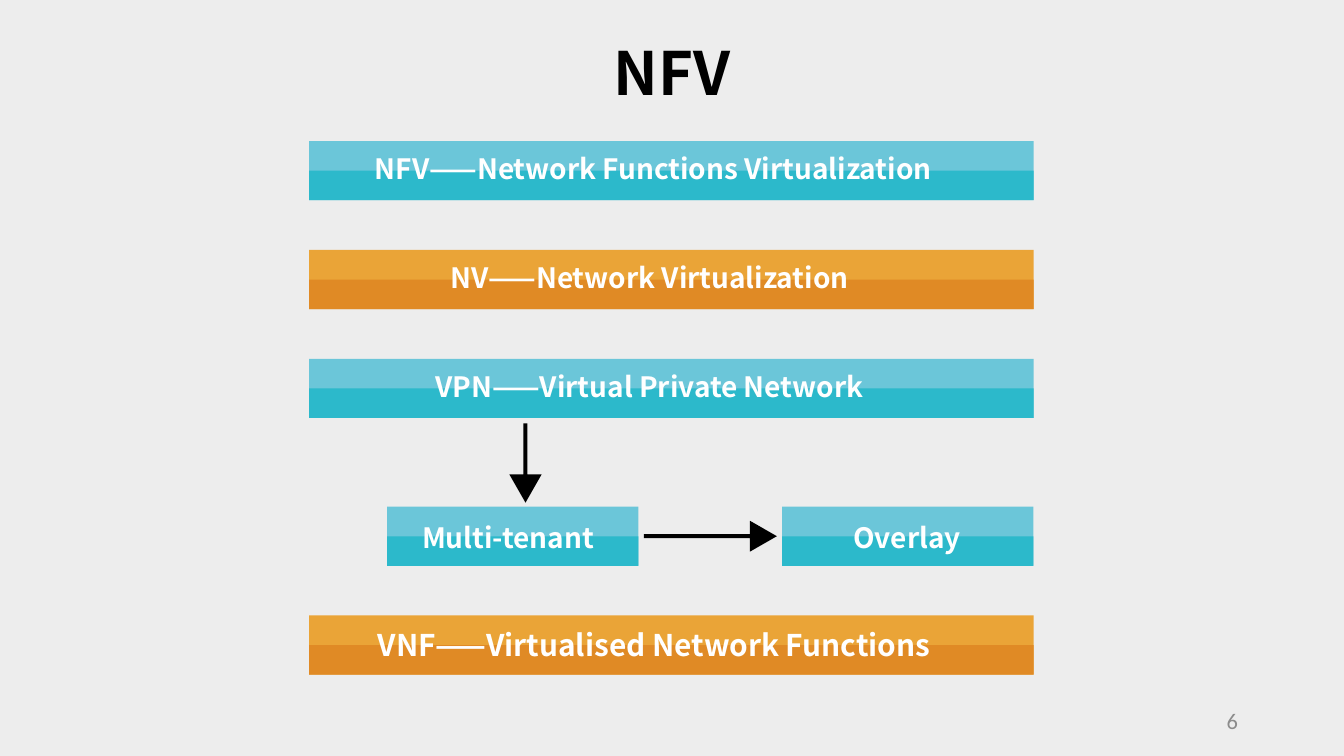
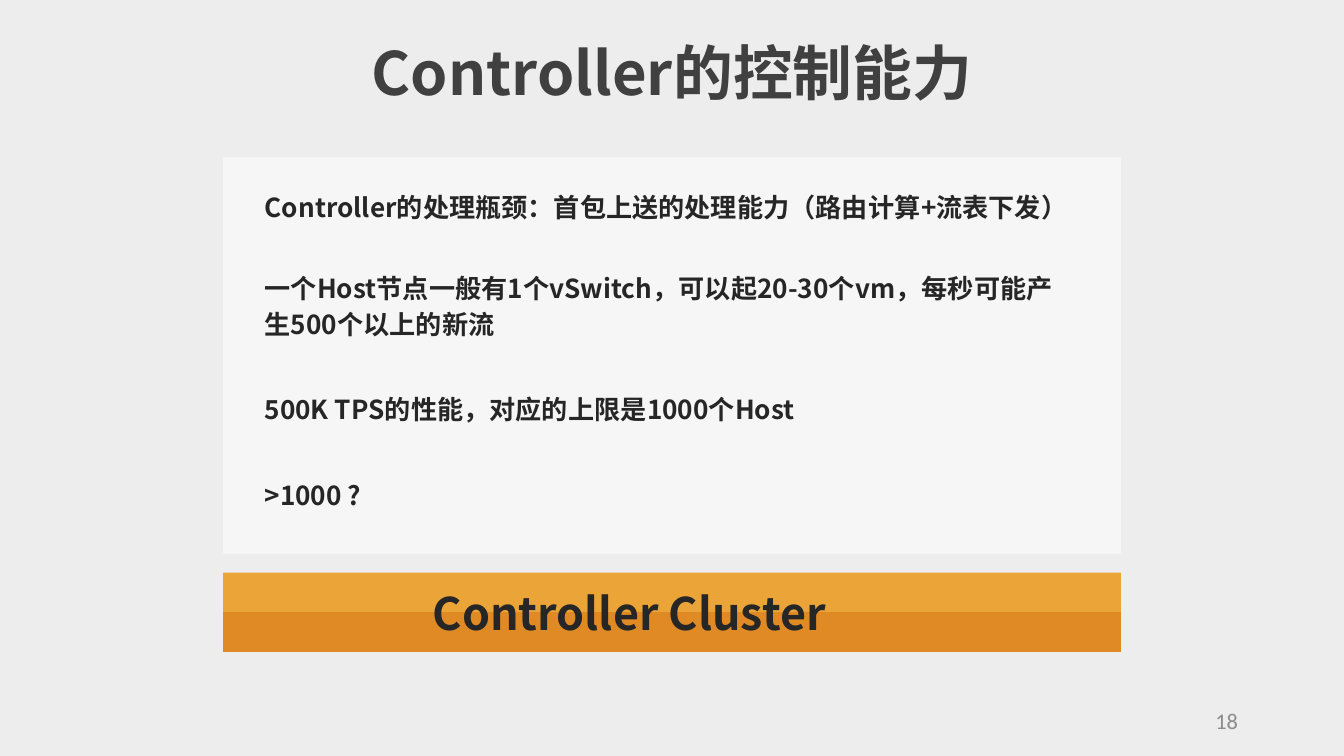
from dataclasses import dataclass
from typing import Any, NamedTuple

from lxml.etree import SubElement
from pptx import Presentation
from pptx.dml.color import RGBColor as RGB
from pptx.enum.shapes import MSO_SHAPE as SHAPE
from pptx.enum.text import MSO_ANCHOR as ANCHOR, PP_ALIGN as ALIGN
from pptx.oxml.ns import qn
from pptx.util import Inches, Pt


# Theme: every colour, font and type size
class Tone(NamedTuple):
    top: str
    bottom: str


@dataclass(frozen=True)
class Theme:
    back: str = "EDEDED"
    black: str = "000000"
    white: str = "FFFFFF"
    title_grey: str = "404040"
    ink: str = "262626"
    muted: str = "8C8C8C"
    blue: Tone = Tone("6BC6D9", "2CB9CB")
    orange: Tone = Tone("EAA437", "E08A25")
    font: str = "Noto Sans CJK SC"
    number_font: str = "Calibri"
    title: int = 32
    cluster: int = 24
    label_large: int = 16
    label: int = 15
    body: int = 14
    number: int = 12
    body_leading: int = 19
    body_before: int = 6


T = Theme()

# Grid: square cells, 100 columns across the slide
WIDTH, HEIGHT = Inches(10), Inches(5.625)
CELL = WIDTH // 100


def cells(n: float) -> int:
    return round(n * CELL)


class Box(NamedTuple):
    col: float
    row: float
    cols: float
    rows: float

    def emu(self) -> list[int]:
        return [cells(n) for n in self]


@dataclass(frozen=True)
class Bar:
    """A two-tone bar; the label starts at its own column and row offset."""
    text: str
    box: Box
    tone: Tone
    label_col: float
    label_cols: float
    label_drop: float = 0.8
    size: int = T.label
    color: str = T.white


@dataclass(frozen=True)
class Arrow:
    """A block arrow running right, or down when vertical."""
    col: float
    row: float
    length: float
    head: float
    half_head: float
    vertical: bool = False
    half_shaft: float = 0.15


class Note(NamedTuple):
    text: str
    row: float
    cols: float
    rows: float


# Drawing functions
def put(obj: Any, values: dict[str, Any]) -> None:
    for name, value in values.items():
        setattr(obj, name, value)


def paint(sp: Any, color: str) -> None:
    sp.fill.solid()
    sp.fill.fore_color.rgb = RGB.from_string(color)
    sp.line.fill.background()
    sp.shadow.inherit = False


def add_rect(shapes: Any, box: Box, color: str) -> Any:
    sp = shapes.add_shape(SHAPE.RECTANGLE, *box.emu())
    paint(sp, color)
    return sp


def add_text(shapes: Any, text: str, box: Box, size: int, color: str,
             font: str = T.font, bold: bool = True,
             frame: dict[str, Any] | None = None,
             para: dict[str, Any] | None = None) -> None:
    tf = shapes.add_textbox(*box.emu()).text_frame
    margins = dict.fromkeys(("margin_left", "margin_top",
                             "margin_right", "margin_bottom"), 0)
    put(tf, {"word_wrap": True, **(margins if frame is None else frame)})
    p = tf.paragraphs[0]
    put(p, para or {})
    r = p.add_run()
    r.text = text
    put(r.font, {"name": font, "size": Pt(size), "bold": bold})
    r.font.color.rgb = RGB.from_string(color)
    # East Asian glyphs take the same face
    SubElement(r.font._element, qn("a:ea"), typeface=font)


def add_bar(s: Any, bar: Bar) -> None:
    shapes = s.shapes.add_group_shape().shapes
    col, row, cols, rows = bar.box
    add_rect(shapes, bar.box, bar.tone.top)
    add_rect(shapes, Box(col, row + rows / 2, cols, rows / 2), bar.tone.bottom)
    label = Box(bar.label_col, row + bar.label_drop,
                bar.label_cols, bar.size / 6)
    add_text(shapes, bar.text, label, bar.size, bar.color)


def add_arrow(s: Any, arrow: Arrow) -> None:
    neck, shaft, wing = (arrow.length - arrow.head, arrow.half_shaft,
                         arrow.half_head)
    outline = [(0, -shaft), (neck, -shaft), (neck, -wing), (arrow.length, 0),
               (neck, wing), (neck, shaft), (0, shaft)]
    points = [(cells(arrow.col + (across if arrow.vertical else along)),
               cells(arrow.row + (along if arrow.vertical else across)))
              for along, across in outline]
    pen = s.shapes.build_freeform(*points[0])
    pen.add_line_segments(points[1:], close=True)
    paint(pen.convert_to_shape(), T.black)


def add_slide(prs: Any, title: str, title_color: str, number: int) -> Any:
    """Blank slide with the shared background, title and page number."""
    s = prs.slides.add_slide(prs.slide_layouts[6])
    s.background.fill.solid()
    s.background.fill.fore_color.rgb = RGB.from_string(T.back)
    middle = {"vertical_anchor": ANCHOR.MIDDLE}
    add_text(s.shapes, title, Box(6.9, 3, 86.2, 5.4), T.title, title_color,
             frame=middle,
             para={"alignment": ALIGN.CENTER, "line_spacing": 0.9})
    add_text(s.shapes, str(number), Box(70.6, 52.1, 22.5, 3), T.number,
             T.muted, T.number_font, bold=False, frame=middle,
             para={"alignment": ALIGN.RIGHT})
    return s


# Slide: NFV terms, five bar rows with a wider gap for the down arrow
BAR_ROWS = 4.4
ARROW_GAP = 2.9


def bar_row(n: int) -> float:
    return 10.5 + 8.1 * n + (ARROW_GAP if n > 2 else 0)


def wide(n: int) -> Box:
    return Box(23, bar_row(n), 53.9, BAR_ROWS)


def small(col: float) -> Box:
    return Box(col, bar_row(3), 18.7, BAR_ROWS)


NFV_BARS = [
    Bar("NFV——Network Functions Virtualization", wide(0), T.blue, 27.9, 44.2),
    Bar("NV——Network Virtualization", wide(1), T.orange, 33.5, 32.1),
    Bar("VPN——Virtual Private Network", wide(2), T.blue, 32.4, 34.3),
    Bar("Multi-tenant", small(28.8), T.blue, 31.4, 13.5, 1),
    Bar("Overlay", small(58.2), T.blue, 63.5, 8.1, 1),
    Bar("VNF——Virtualised Network Functions", wide(4), T.orange, 28.1, 43.7,
        size=T.label_large),
]
NFV_ARROWS = [
    Arrow(39.1, 31.5, 5.9, 2.1, 1.2, vertical=True),
    Arrow(47.9, bar_row(3) + BAR_ROWS / 2, 9.9, 2, 1.15),
]


def nfv_slide(prs: Any) -> None:
    s = add_slide(prs, "NFV", T.black, 6)
    for bar in NFV_BARS:
        add_bar(s, bar)
    for arrow in NFV_ARROWS:
        add_arrow(s, arrow)


# Slide: controller capacity, a pale panel of notes above one bar
PANEL = Box(16.6, 11.7, 66.8, 29.5)
NOTE_COL = 19.7
NOTES = [
    Note("Controller的处理瓶颈：首包上送的处理能力（路由计算+流表下发）",
         13.9, 60, 2.5),
    Note("一个Host节点一般有1个vSwitch，可以起20-30个vm，"
         "每秒可能产生500个以上的新流", 20, 60, 5.3),
    Note("500K TPS的性能，对应的上限是1000个Host", 29, 50, 2.5),
    Note(">1000 ?", 35.4, 10.4, 2.5),
]
CLUSTER = Bar("Controller Cluster", Box(PANEL.col, 42.6, PANEL.cols, 5.9),
              T.orange, 32.2, 30.9, 1, T.cluster, T.ink)


def controller_slide(prs: Any) -> None:
    s = add_slide(prs, "Controller的控制能力", T.title_grey, 18)
    panel = add_rect(s.shapes, PANEL, T.white)
    white = panel.fill._xPr.find(qn("a:solidFill"))[0]
    SubElement(white, qn("a:alpha"), val="50000")
    add_bar(s, CLUSTER)
    for note in NOTES:
        add_text(s.shapes, note.text,
                 Box(NOTE_COL, note.row, note.cols, note.rows),
                 T.body, T.ink,
                 para={"line_spacing": Pt(T.body_leading),
                       "space_before": Pt(T.body_before)})


def main() -> None:
    prs = Presentation()
    put(prs, {"slide_width": WIDTH, "slide_height": HEIGHT})
    nfv_slide(prs)
    controller_slide(prs)
    prs.save("out.pptx")


if __name__ == "__main__":
    main()
